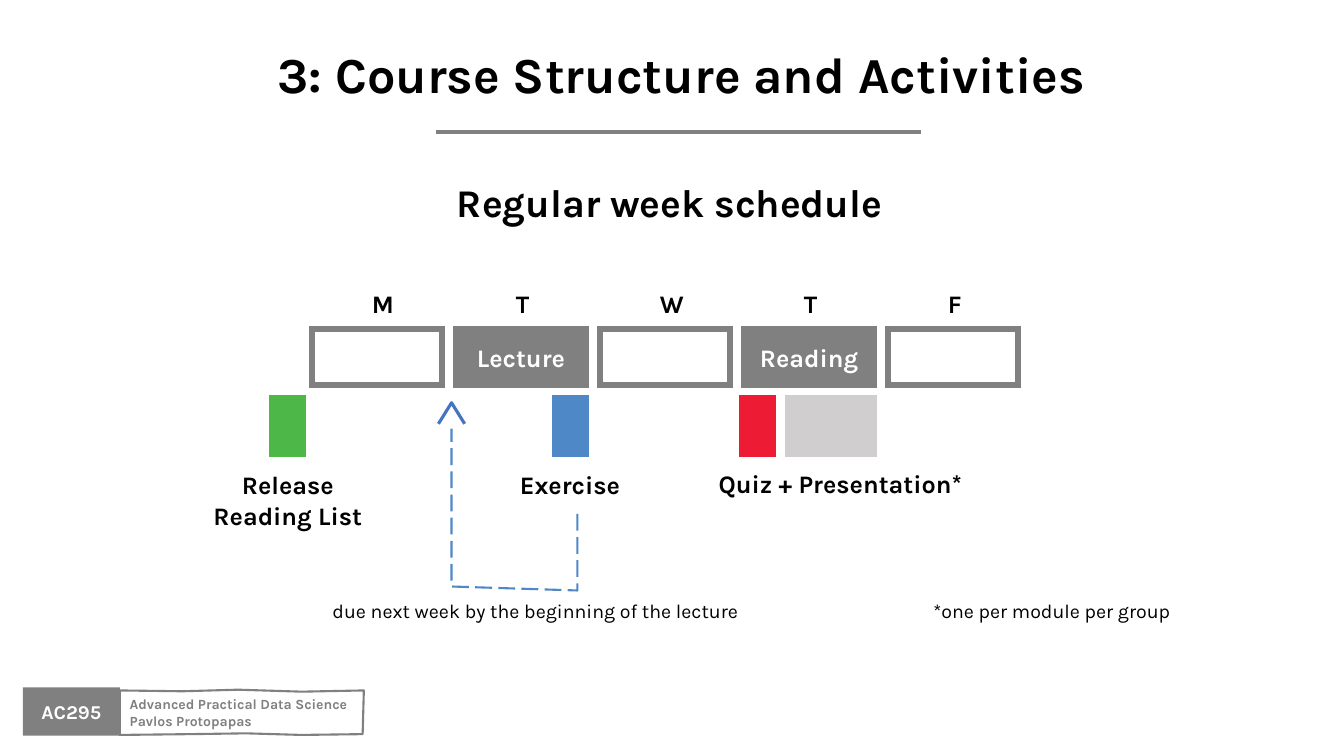
from dataclasses import dataclass

from lxml import etree
from pptx import Presentation
from pptx import util as u
from pptx.dml.color import RGBColor
from pptx.enum import dml, shapes, text
from pptx.oxml.ns import qn

Cm, Pt = u.Cm, u.Pt
LEFT, MID = text.PP_ALIGN.LEFT, text.PP_ALIGN.CENTER


@dataclass(frozen=True)
class Theme:
    font: str = "Karla"
    black: str = "000000"
    white: str = "FFFFFF"
    gray: str = "808080"
    pale: str = "D0CECE"
    blue: str = "4E88C7"
    tip: str = "4472C4"
    green: str = "4DB848"
    red: str = "ED1B34"
    title: int = 36
    head: int = 28
    label: int = 18
    note: int = 14
    small: int = 10


class Deck:
    def __init__(self, theme):
        self.theme = theme
        self.prs = Presentation()
        self.prs.slide_width, self.prs.slide_height = Cm(33.87), Cm(19.05)
        self.slide = self.prs.slides.add_slide(self.prs.slide_layouts[1])
        self.items = self.slide.shapes

    def letter(self, frame, words, size, color=None, align=LEFT, bold=True):
        frame.text = words
        for para in frame.paragraphs:
            para.alignment = align
            font = para.font
            font.name, font.size, font.bold = self.theme.font, Pt(size), bold
            font.color.rgb = RGBColor.from_string(color or self.theme.black)

    def holder(self, index, words, size, box):
        item = self.slide.placeholders[index]
        item.left, item.top, item.width, item.height = map(Cm, box)
        frame = item.text_frame
        frame.auto_size = text.MSO_AUTO_SIZE.NONE
        frame.vertical_anchor = text.MSO_ANCHOR.TOP
        self.letter(frame, words, size, align=MID)
        para = frame.paragraphs[0]
        para.line_spacing = 0.9
        para.space_before, para.space_after = Pt(10), Pt(18)
        props = para._p.get_or_add_pPr()
        props.set("marL", "0")
        props.set("indent", "0")
        bullet = etree.Element(qn("a:buNone"))
        props.insert_element_before(bullet, "a:tabLst", "a:defRPr", "a:extLst")

    def paint(self, item, fill, line, width):
        item.shadow.inherit = False
        if fill:
            item.fill.solid()
            item.fill.fore_color.rgb = RGBColor.from_string(fill)
        else:
            item.fill.background()
        if line:
            item.line.color.rgb = RGBColor.from_string(line)
            item.line.width = Pt(width)
        else:
            item.line.fill.background()

    def rect(self, box, fill, line=None, width=2.25, words="", size=18):
        item = self.items.add_shape(shapes.MSO_SHAPE.RECTANGLE, *map(Cm, box))
        self.paint(item, fill, line, width)
        if words:
            item.text_frame.vertical_anchor = text.MSO_ANCHOR.MIDDLE
            self.letter(item.text_frame, words, size, self.theme.white, MID)

    def trace(self, points, color, width, close=False, dash=None):
        first, *rest = [(Cm(x), Cm(y)) for x, y in points]
        pen = self.items.build_freeform(*first)
        pen.add_line_segments(rest, close=close)
        item = pen.convert_to_shape()
        self.paint(item, None, color, width)
        if dash:
            item.line.dash_style = dash
        return item

    def rule(self, x1, x2, y, color, width):
        item = self.items.add_connector(
            shapes.MSO_CONNECTOR.STRAIGHT, Cm(x1), Cm(y), Cm(x2), Cm(y))
        item.line.color.rgb = RGBColor.from_string(color)
        item.line.width = Pt(width)
        etree.SubElement(item._element.spPr, qn("a:effectLst"))

    def label(self, box, words, size, align=LEFT, bold=True):
        item = self.items.add_textbox(*map(Cm, box))
        item.text_frame.word_wrap = False
        self.letter(item.text_frame, words, size, align=align, bold=bold)
        return item

    def tabs(self, item, step, count):
        props = item.text_frame.paragraphs[0]._p.get_or_add_pPr()
        stops = etree.Element(qn("a:tabLst"))
        for n in range(1, count + 1):
            etree.SubElement(stops, qn("a:tab"), pos=str(Cm(step * n)), algn="l")
        props.insert_element_before(stops, "a:defRPr", "a:extLst")


def main():
    t = Theme()
    deck = Deck(t)

    # Headings
    deck.holder(0, "3: Course Structure and Activities", t.title,
                (3.23, 1.12, 27.89, 1.8))
    deck.holder(1, "Regular week schedule", t.head, (0.58, 4.5, 32.59, 11.33))
    deck.rule(11, 23.2, 3.33, t.gray, 3)

    # Course badge
    deck.rect((0.58, 17.32, 2.44, 1.22), t.gray, words="AC295", size=t.note)
    badge = deck.trace(
        [(3.02, 17.4), (4.6, 17.42), (6, 17.38), (7.6, 17.43), (9.17, 17.4),
         (9.14, 18.5), (7.6, 18.52), (6.2, 18.48), (4.8, 18.5), (3.02, 18.52)],
        t.gray, 1.5, close=True)
    frame = badge.text_frame
    frame.word_wrap = True
    frame.vertical_anchor = text.MSO_ANCHOR.MIDDLE
    deck.letter(frame, "Advanced Practical Data Science\nPavlos Protopapas",
                t.small, t.gray)

    # Week: filled days have a class, hollow days are free
    left, top, step, wide, high, rim = 7.75, 8.18, 3.63, 3.5, 1.63, 0.2
    for n, name in enumerate(["", "Lecture", "", "Reading", ""]):
        x = left + n * step
        deck.rect((x, top, wide, high), t.gray, t.white, words=name, size=t.label)
        if not name:
            deck.rect((x + rim, top + rim, wide - 2 * rim, high - 2 * rim),
                      t.white, t.white, 1)
    days = deck.label((9.12, 7.14, 15.39, 1.02), "M\tT\tW\tT\tF", t.label)
    days.text_frame.word_wrap = True
    deck.tabs(days, step, 4)

    # Tasks below the week
    for x, w, color in [(6.73, 1.02, t.green), (13.87, 1.02, t.blue),
                        (18.59, 1.02, t.red), (19.74, 2.41, t.pale)]:
        deck.rect((x, 9.91, w, 1.65), color, t.white)
    deck.label((5.11, 11.71, 4.29, 1.8), "Release\nReading List", t.label, MID)
    deck.label((12.85, 11.71, 3.07, 1.02), "Exercise", t.label)
    deck.label((17.86, 11.68, 6.73, 1.02), "Quiz + Presentation*", t.label)

    # Due date: dashed way back to the next lecture
    deck.trace([(14.55, 12.95), (14.55, 14.88), (11.38, 14.78), (11.38, 10.8)],
               t.blue, 1.5, dash=dml.MSO_LINE.LONG_DASH)
    deck.trace([(11.05, 10.68), (11.38, 10.15), (11.71, 10.68)], t.tip, 2.25)

    # Notes
    for x, w, words in [(8.13, 10.87, "due next week by the beginning of the lecture"),
                        (23.27, 6.6, "*one per module per group")]:
        deck.label((x, 14.96, w, 0.86), words, t.note, bold=False)

    deck.prs.save("out.pptx")


if __name__ == "__main__":
    main()
